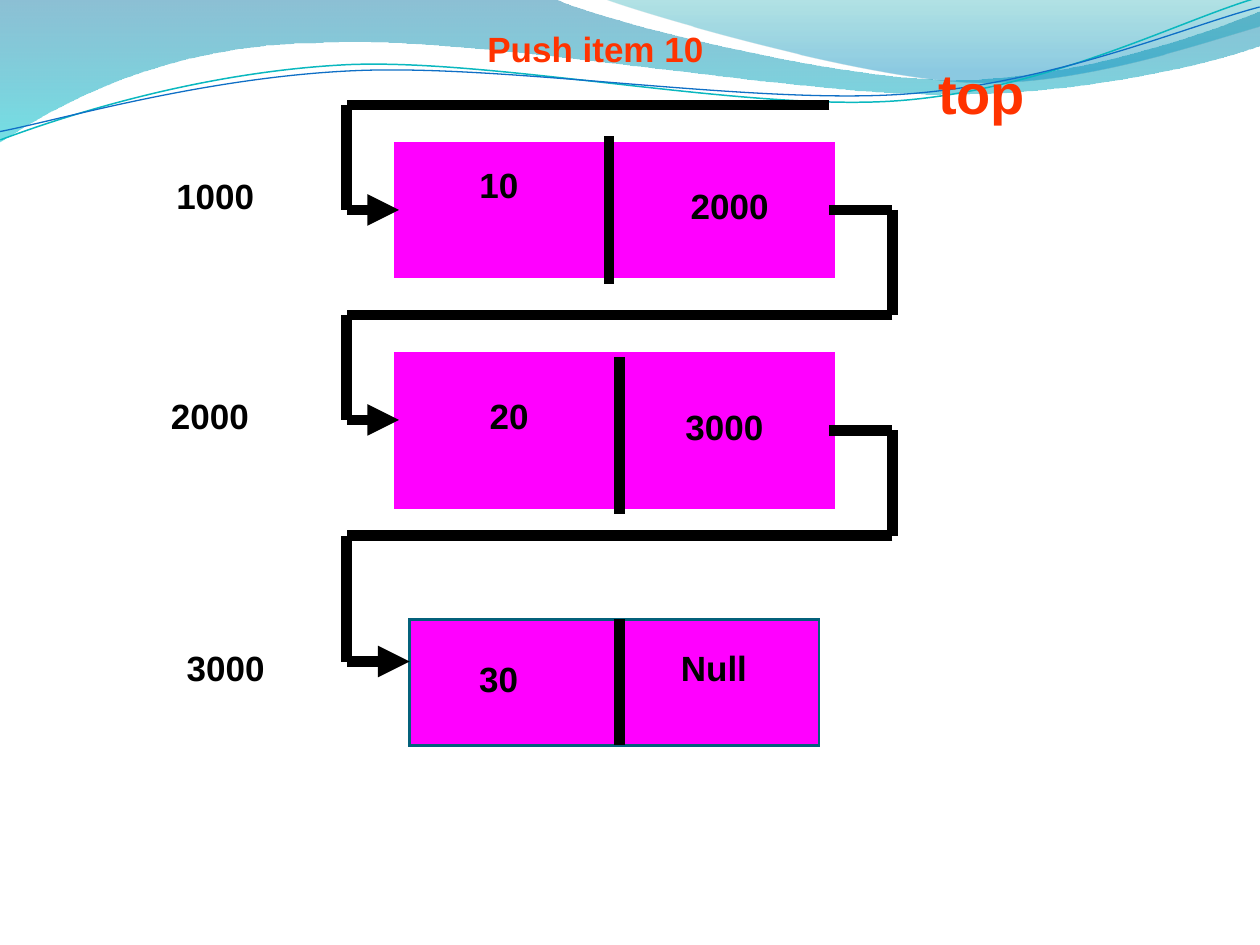
from dataclasses import dataclass
from itertools import chain, pairwise
from typing import Optional

from lxml.etree import SubElement
from pptx import Presentation
from pptx.dml.color import RGBColor as Rgb
from pptx.enum.shapes import MSO_CONNECTOR as Connector, MSO_SHAPE as Preset
from pptx.enum.text import MSO_AUTO_SIZE as AutoSize, PP_ALIGN as Align
from pptx.oxml.ns import qn
from pptx.shapes.autoshape import Shape
from pptx.shapes.shapetree import SlideShapes
from pptx.util import Emu, Pt

EMU_PER_PX = 7620
LEFT_SIDE, RIGHT_SIDE = 1, 3
Point = tuple[int, int]


@dataclass(frozen=True)
class Theme:
    """Colours, type sizes and line widths of the slide."""
    font: str = "Arial"
    ink: str = "000000"
    accent: str = "FF3300"
    node: str = "FF00FF"
    last_edge: str = "04617B"
    body_size: int = 20
    top_size: int = 32
    stroke: float = 6
    thin_stroke: float = 1.5


THEME = Theme()


@dataclass(frozen=True)
class Label:
    """A centred line of text in a box."""
    text: str
    left: int
    top: int
    width: int
    height: int = 52
    size: int = THEME.body_size
    color: str = THEME.ink
    margin_left: int = 12


@dataclass(frozen=True)
class Node:
    """A stack cell with its divider and three labels."""
    left: int
    top: int
    width: int
    height: int
    divider: tuple[int, int, int]
    labels: tuple[Label, ...]
    edge: str = THEME.node
    edge_width: float = THEME.stroke


@dataclass(frozen=True)
class Stop:
    """A gradient stop, with position and opacity in percent."""
    position: int
    color: str
    opacity: int


@dataclass(frozen=True)
class Wave:
    """A path of straight (1 point) and Bezier (3 points) steps."""
    start: Point
    steps: tuple[tuple[Point, ...], ...]
    stops: tuple[Stop, ...] = ()
    color: str = ""
    width: float = 0
    rotation: float = 0


WAVES = (
    Wave((0, -1), (
        ((528, -1),),
        ((571, 20), (797, 76), (910, 76)),
        ((1024, 76), (1150, 31), (1200, 11)),
        ((1201, 43),),
        ((1180, 53), (1044, 91), (895, 90)),
        ((746, 90), (458, 34), (308, 41)),
        ((155, 42), (55, 100), (-1, 136)),
        ((0, -1),),
    ), stops=(Stop(0, "0074A1", 45), Stop(100, "00C6CF", 55))),
    Wave((575, -1), (
        ((611, 13), (818, 74), (923, 78)),
        ((1027, 83), (1153, 38), (1200, 25)),
        ((1200, 0),),
        ((575, -1),),
    ), stops=(Stop(0, "00A1A9", 30), Stop(80, "008BBF", 45))),
    Wave((-2, 105), (
        ((57, 86), (190, 49), (333, 49)),
        ((475, 50), (710, 112), (854, 108)),
        ((999, 104), (1128, 43), (1201, 26)),
    ), color="0AB8BF", width=0.85, rotation=357.3),
    Wave((-2, 97), (
        ((54, 89), (197, 54), (341, 55)),
        ((485, 56), (714, 105), (859, 102)),
        ((1002, 99), (1131, 50), (1202, 35)),
    ), color="0F6FC6", width=0.75, rotation=357.3),
)

NODES = (
    Node(380, 140, 410, 120, (580, 130, 270), (
        Label("1000", 130, 160, 150), Label("10", 400, 150, 150),
        Label("2000", 630, 170, 130))),
    Node(380, 340, 410, 140, (590, 340, 490), (
        Label("2000", 100, 370, 200), Label("20", 430, 370, 110),
        Label("3000", 630, 380, 120))),
    Node(390, 590, 390, 120, (590, 590, 710), (
        Label("3000", 120, 610, 190), Label("30", 420, 620, 110),
        Label("Null", 620, 610, 120)),
        edge=THEME.last_edge, edge_width=THEME.thin_stroke),
)

HEADINGS = (
    Label("Push item 10", 100, 20, 740, color=THEME.accent, margin_left=206),
    Label("top", 790, 50, 290, 76, THEME.top_size, THEME.accent),
)


def px(length: float) -> Emu:
    """Turn px into EMU."""
    return Emu(round(length * EMU_PER_PX))


def bend(outline: Shape, wave: Wave) -> None:
    """Merge each run of three straight segments of a Bezier step into one curve."""
    segments = iter(list(outline.element.spPr.iter(qn("a:lnTo"))))
    for step in wave.steps:
        first, *others = [next(segments) for _ in step]
        if others:
            first.tag = qn("a:cubicBezTo")
        for other in others:
            first.append(other[0])
            other.getparent().remove(other)


def draw_wave(shapes: SlideShapes, wave: Wave) -> None:
    """Draw a translucent band or a thin curve."""
    builder = shapes.build_freeform(*wave.start, scale=EMU_PER_PX)
    builder.add_line_segments(chain.from_iterable(wave.steps), close=bool(wave.stops))
    outline = builder.convert_to_shape()
    bend(outline, wave)
    outline.rotation = wave.rotation
    outline.shadow.inherit = False
    if not wave.stops:
        outline.fill.background()
        outline.line.color.rgb = Rgb.from_string(wave.color)
        outline.line.width = Pt(wave.width)
        return
    outline.line.fill.background()
    outline.fill.gradient()
    outline.fill.gradient_angle = 270
    for target, stop in zip(outline.fill.gradient_stops, wave.stops):
        target.position = stop.position / 100
        target.color.rgb = Rgb.from_string(stop.color)
    for tint, stop in zip(outline.element.spPr.iter(qn("a:srgbClr")), wave.stops):
        SubElement(tint, qn("a:alpha"), val=str(stop.opacity * 1000))


def draw_label(shapes: SlideShapes, label: Label) -> None:
    """Write a centred bold label."""
    frame = shapes.add_textbox(*map(px, (label.left, label.top, label.width, label.height))).text_frame
    frame.word_wrap = True
    frame.auto_size = AutoSize.SHAPE_TO_FIT_TEXT
    frame.margin_left = px(label.margin_left)
    paragraph = frame.paragraphs[0]
    paragraph.alignment = Align.CENTER
    run = paragraph.add_run()
    run.text = label.text
    run.font.name, run.font.size, run.font.bold = THEME.font, Pt(label.size), True
    run.font.color.rgb = Rgb.from_string(label.color)


def draw_link(shapes: SlideShapes, *corners: Point, source: Optional[Shape] = None,
              target: Optional[Shape] = None, arrow: bool = True) -> None:
    """Draw straight segments through the corners, joined to cells where given."""
    segments = []
    for begin, end in pairwise(corners):
        segment = shapes.add_connector(Connector.STRAIGHT, *map(px, (*begin, *end)))
        segment.line.color.rgb = Rgb.from_string(THEME.ink)
        segment.line.width = Pt(THEME.stroke)
        SubElement(segment.element.spPr, qn("a:effectLst"))
        segments.append(segment)
    if source is not None:
        segments[0].begin_connect(source, RIGHT_SIDE)
    if target is not None:
        segments[-1].end_connect(target, LEFT_SIDE)
    if arrow:
        SubElement(segments[-1].element.spPr.find(qn("a:ln")), qn("a:tailEnd"), type="triangle")


def draw_node(shapes: SlideShapes, node: Node) -> Shape:
    """Draw a cell with its divider and labels."""
    cell = shapes.add_shape(Preset.RECTANGLE, *map(px, (node.left, node.top, node.width, node.height)))
    cell.shadow.inherit = False
    cell.fill.solid()
    cell.fill.fore_color.rgb = Rgb.from_string(THEME.node)
    cell.line.color.rgb = Rgb.from_string(node.edge)
    cell.line.width = Pt(node.edge_width)
    SubElement(cell.element.spPr.find(qn("a:ln")), qn("a:miter"), lim="800000")
    x, top, bottom = node.divider
    draw_link(shapes, (x, top), (x, bottom), arrow=False)
    for label in node.labels:
        draw_label(shapes, label)
    return cell


def main() -> None:
    """Build the slide and save it."""
    deck = Presentation()
    deck.slide_width, deck.slide_height = px(1200), px(900)
    shapes = deck.slides.add_slide(deck.slide_layouts[6]).shapes
    for wave in WAVES:
        draw_wave(shapes, wave)
    first, second, _ = [draw_node(shapes, node) for node in NODES]
    draw_link(shapes, (790, 100), (330, 100), (330, 200), (380, 200), target=first)
    draw_link(shapes, (790, 200), (830, 200), (850, 200), (850, 300), (830, 300),
              (330, 300), (330, 400), (380, 400), source=first)
    draw_link(shapes, (790, 410), (850, 410), (850, 510), (810, 510),
              (330, 510), (330, 630), (390, 630), source=second)
    for heading in HEADINGS:
        draw_label(shapes, heading)
    deck.save("out.pptx")


if __name__ == "__main__":
    main()
